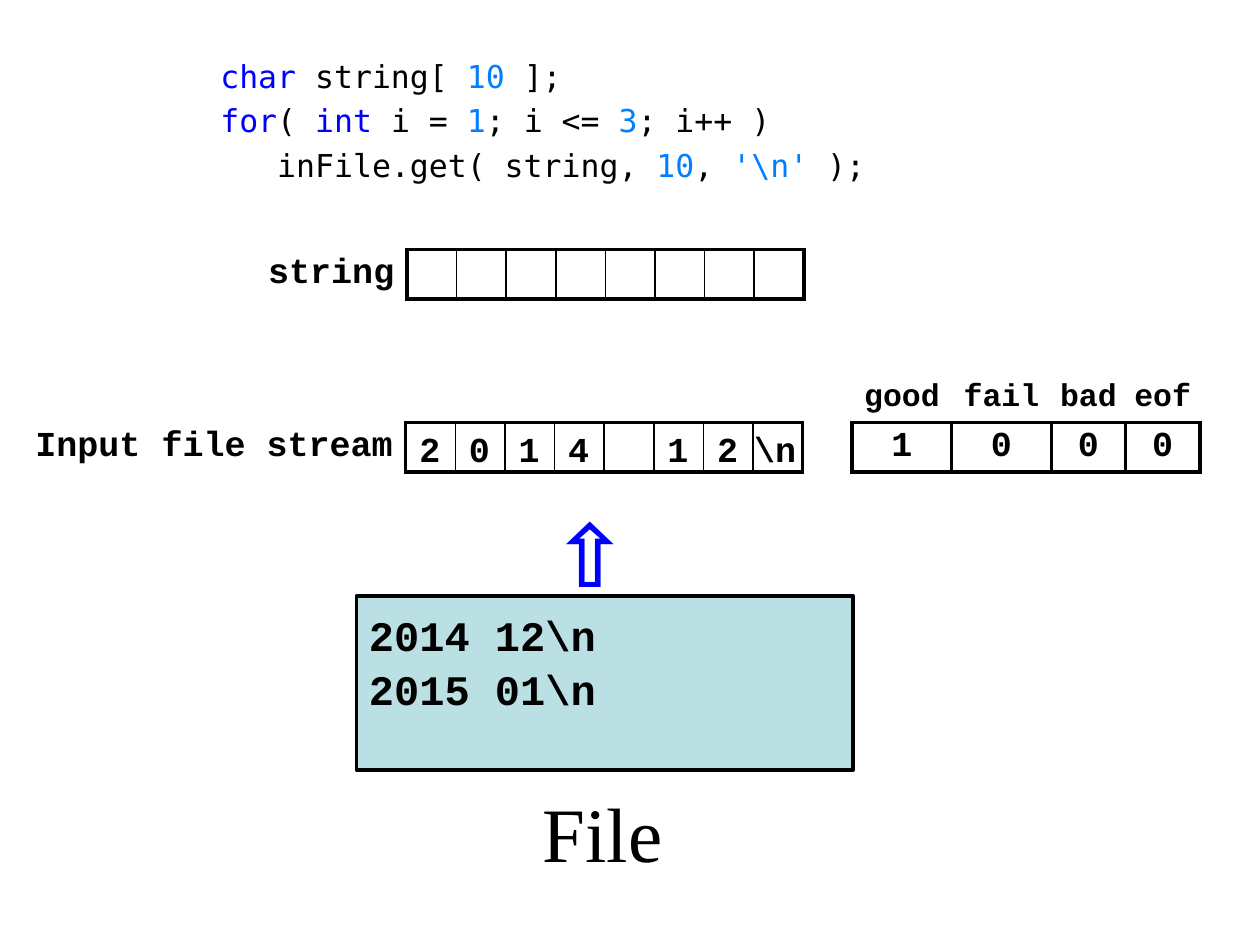
from lxml import etree
from pptx import Presentation
from pptx.dml.color import RGBColor
from pptx.enum.shapes import MSO_SHAPE
from pptx.enum.text import MSO_ANCHOR, PP_ALIGN
from pptx.oxml.ns import qn
from pptx.util import Inches, Pt

RECTANGLE = MSO_SHAPE.RECTANGLE
TOP, MIDDLE = MSO_ANCHOR.TOP, MSO_ANCHOR.MIDDLE
LEFT, CENTER, RIGHT = PP_ALIGN.LEFT, PP_ALIGN.CENTER, PP_ALIGN.RIGHT
COLORS = {"black": "000000", "keyword": "0000FF", "literal": "0080FF", "file": "BBE0E3"}
COURIER, MONO, SERIF = "Courier New", "DejaVu Sans Mono", "Times New Roman"
THICK, THIN = 2.25, 1
SLOT = 3.15 / 8


def write(frame, lines, size, font=COURIER, bold=True, align=LEFT, anchor=TOP,
          insets=(0, 0, 0, 0), gap=0):
    frame.word_wrap = True
    frame.vertical_anchor = anchor
    frame.margin_left, frame.margin_top, frame.margin_right, frame.margin_bottom = map(Inches, insets)
    for index, line in enumerate(lines):
        para = frame.add_paragraph() if index else frame.paragraphs[0]
        para.alignment = align
        if index:
            para.space_before = Pt(gap)
        for text, color in line:
            span = para.add_run()
            span.text = text
            span.font.name = font
            span.font.size = Pt(size)
            span.font.bold = bold
            span.font.color.rgb = RGBColor.from_string(COLORS[color])


def set_borders(cell, left, right, top, bottom):
    properties = cell._tc.get_or_add_tcPr()
    for side, width in zip("LRTB", (left, right, top, bottom)):
        line = etree.SubElement(properties, qn(f"a:ln{side}"), w=str(Pt(width)))
        if width:
            fill = etree.SubElement(line, qn("a:solidFill"))
            etree.SubElement(fill, qn("a:srgbClr"), val=COLORS["black"])
        else:
            etree.SubElement(line, qn("a:noFill"))


deck = Presentation()
deck.slide_width, deck.slide_height = Inches(10), Inches(7.5)
page = deck.slides.add_slide(deck.slide_layouts[6])

caption = page.shapes.add_textbox(Inches(4.21), Inches(6.11), Inches(1.18), Inches(0.98))
write(caption.text_frame, [[("File", "black")]], 44, SERIF, False, anchor=MIDDLE,
      insets=(0.1, 0.05, 0.1, 0.05))

code_lines = [
    [("char", "keyword"), (" string[ ", "black"), ("10", "literal"), (" ];", "black")],
    [("for", "keyword"), ("( ", "black"), ("int", "keyword"), (" i = ", "black"),
     ("1", "literal"), ("; i <= ", "black"), ("3", "literal"), ("; i++ )", "black")],
    [("   inFile.get( string, ", "black"), ("10", "literal"), (", ", "black"),
     ("'\\n'", "literal"), (" );", "black")],
]
code = page.shapes.add_textbox(Inches(1.65), Inches(0.4), Inches(5.32), Inches(1.18))
write(code.text_frame, code_lines, 18, MONO, False, insets=(0.1, 0.05, 0.08, 0.05), gap=4)

slot_edges = [0, THICK] + [THIN] * 7 + [THICK]
blank_slots = [""] * 8
tables = [
    (0.27, 2.96, [2.95] + [SLOT] * 9 + [0.79, 0.79, 0.59, 0.59],
     [["", *blank_slots, "", "good", "fail", "bad", "eof"],
      ["Input file stream", *blank_slots, "", "1", "0", "0", "0"]],
     slot_edges + [THICK] * 5, {0, 9}),
    (2.05, 1.98, [1.18] + [SLOT] * 8, [["string", *blank_slots]], slot_edges, {0}),
]
for left, top, widths, rows, edges, open_columns in tables:
    table = page.shapes.add_table(len(rows), len(widths), Inches(left), Inches(top),
                                  Inches(sum(widths)), Inches(SLOT * len(rows))).table
    table.first_row = table.horz_banding = False
    for column, width in zip(table.columns, widths):
        column.width = Inches(width)
    for r, values in enumerate(rows):
        last = r == len(rows) - 1
        for c, value in enumerate(values):
            cell = table.cell(r, c)
            rule = 0 if c in open_columns else THICK
            sides = edges[c:c + 2] if last else (0, 0)
            set_borders(cell, *sides, rule if last else 0, rule)
            cell.fill.background()
            cell.vertical_anchor = MIDDLE
            cell.margin_left = cell.margin_top = cell.margin_bottom = 0
            cell.margin_right = Inches(0 if c else 0.1)
            if value:
                para = cell.text_frame.paragraphs[0]
                para.alignment = CENTER if c else RIGHT
                span = para.add_run()
                span.text = value
                span.font.name = COURIER
                span.font.size = Pt(20 if last else 18)
                span.font.bold = True
                span.font.color.rgb = RGBColor.from_string(COLORS["black"])

file_box = page.shapes.add_shape(RECTANGLE, Inches(2.83), Inches(4.73), Inches(3.94), Inches(1.38))
file_box.shadow.inherit = False
file_box.fill.solid()
file_box.fill.fore_color.rgb = RGBColor.from_string(COLORS["file"])
file_box.line.color.rgb = RGBColor.from_string(COLORS["black"])
file_box.line.width = Pt(THICK)
write(file_box.text_frame, [[("2014 12\\n", "black")], [("2015 01\\n", "black")]], 24,
      insets=(0.1, 0.11, 0.1, 0.05), gap=2)

arrow = page.shapes.add_textbox(Inches(4.41), Inches(3.75), Inches(0.79), Inches(0.98))
write(arrow.text_frame, [[("⇧", "keyword")]], 66)

for slot, symbol in enumerate(["2", "0", "1", "4", "", "1", "2", "\\n"]):
    if symbol:
        side = 0.1 if len(symbol) == 1 else 0
        box = page.shapes.add_textbox(Inches(3.23 + slot * SLOT), Inches(3.36), Inches(SLOT), Inches(SLOT))
        write(box.text_frame, [[(symbol, "black")]], 20, anchor=MIDDLE, insets=(side, 0.05, side, 0.05))

deck.save("out.pptx")
